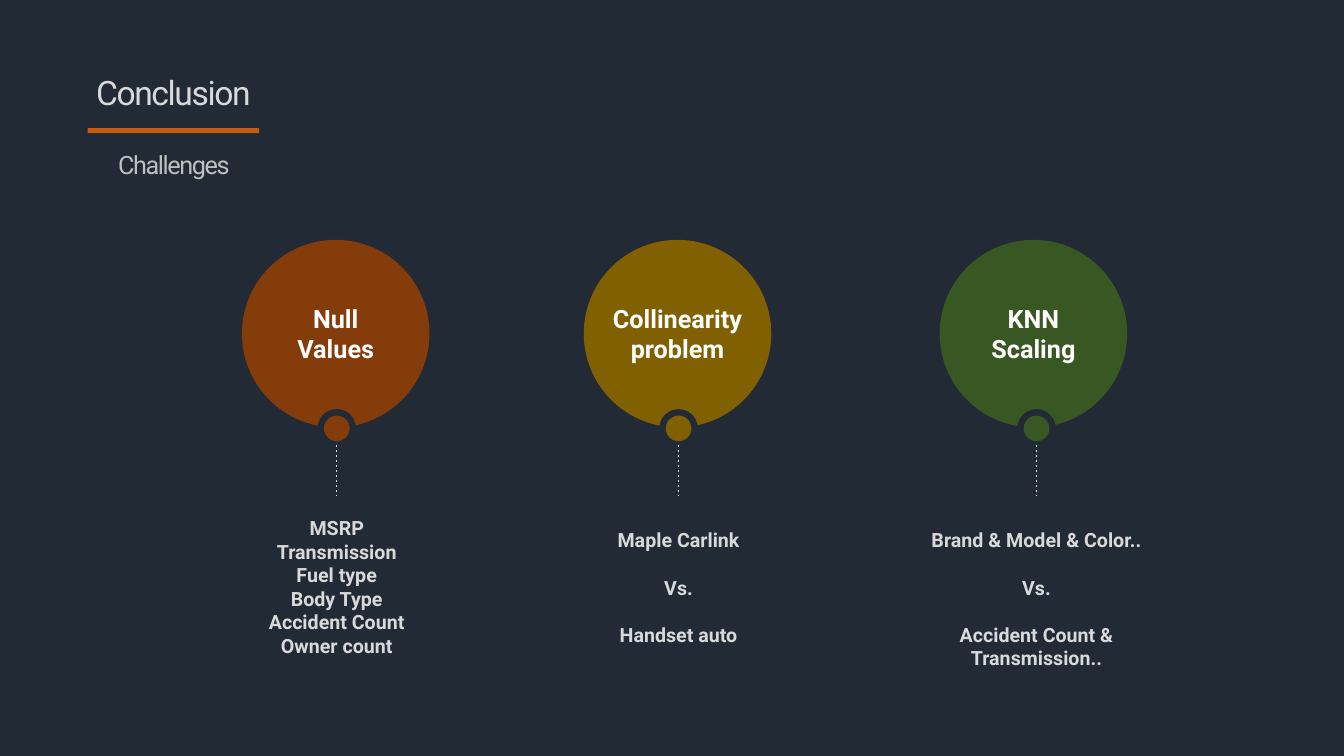
from lxml.etree import SubElement
from pptx import Presentation
from pptx.dml.color import RGBColor
from pptx.enum.dml import MSO_LINE
from pptx.enum.shapes import MSO_CONNECTOR, MSO_SHAPE
from pptx.enum.text import MSO_ANCHOR, PP_ALIGN
from pptx.oxml.ns import qn
from pptx.util import Pt

EMU_PER_PX = 9144
BACKGROUND = "222A35"
LIGHT = "D9D9D9"
GAP = 17

HEADING = {"size": 24, "color": LIGHT}
SUBHEADING = {"size": 18, "color": "BFBFBF"}
LABEL = {"size": 18, "color": "FFFFFF", "bold": True}
DETAIL = {"size": 14, "color": LIGHT, "bold": True}

CHALLENGES = [
    {"left": 240, "axis": 334, "color": "843C0B",
     "label": ["Null", "Values"],
     "detail": ["MSRP", "Transmission", "Fuel type", "Body Type",
                "Accident Count", "Owner count"],
     "top": 507, "width": 212, "height": 151, "gap": 0},
    {"left": 579, "axis": 673, "color": "806000",
     "label": ["Collinearity", "problem"],
     "detail": ["Maple Carlink", "Vs.", "Handset auto"],
     "top": 519, "width": 212, "height": 128, "gap": GAP},
    {"left": 932, "axis": 1028, "color": "385723",
     "label": ["KNN", "Scaling"],
     "detail": ["Brand & Model & Color..", "Vs.",
                "Accident Count & Transmission.."],
     "top": 519, "width": 275, "height": 151, "gap": GAP},
]


def px(*lengths):
    return [round(length * EMU_PER_PX) for length in lengths]


def rgb(value):
    return RGBColor.from_string(value)


def add_figure(page, kind, area, color, outline=None):
    figure = page.shapes.add_shape(kind, *px(*area))
    figure.shadow.inherit = False
    figure.fill.solid()
    figure.fill.fore_color.rgb = rgb(color)
    if outline:
        figure.line.color.rgb = rgb(outline)
        figure.line.width = Pt(4.5)
    else:
        figure.line.fill.background()


def add_text(page, area, lines, style, gap=0):
    box = page.shapes.add_textbox(*px(*area))
    box.text_frame.word_wrap = True
    for index, line in enumerate(lines):
        para = box.text_frame.paragraphs[0] if index == 0 else box.text_frame.add_paragraph()
        para.alignment = PP_ALIGN.CENTER
        if index and gap:
            para.space_before = Pt(gap)
        span = para.add_run()
        span.text = line
        font_values = {"name": "Roboto", "size": Pt(style["size"]),
                       "bold": style.get("bold", False)}
        for name, value in font_values.items():
            setattr(span.font, name, value)
        span.font.color.rgb = rgb(style["color"])
    return box


def add_heading(page, area, text, style):
    frame = add_text(page, area, [text], style).text_frame
    frame.vertical_anchor = MSO_ANCHOR.MIDDLE
    para = frame.paragraphs[0]
    para.line_spacing = 0.9
    para.runs[0]._r.get_or_add_rPr().set("spc", "-100")


def add_dashed_line(page, axis, top, bottom):
    line = page.shapes.add_connector(MSO_CONNECTOR.STRAIGHT, *px(axis, top, axis, bottom))
    line.line.color.rgb = rgb(LIGHT)
    line.line.width = Pt(0.5)
    line.line.dash_style = MSO_LINE.DASH
    SubElement(line._element.spPr, qn("a:effectLst"))


def add_challenge(page, challenge):
    left, axis, color = (challenge[key] for key in ("left", "axis", "color"))
    width = challenge["width"]
    add_figure(page, MSO_SHAPE.OVAL, (left, 238, 186, 186), color)
    add_text(page, (left, 296, 186, 71), challenge["label"], LABEL)
    add_figure(page, MSO_SHAPE.OVAL, (axis - 16, 409, 32, 32), color, BACKGROUND)
    add_dashed_line(page, axis, 441, 491)
    area = (axis - width / 2, challenge["top"], width, challenge["height"])
    add_text(page, area, challenge["detail"], DETAIL, challenge["gap"])


def main():
    deck = Presentation()
    deck.slide_width, deck.slide_height = px(1333, 750)
    page = deck.slides.add_slide(deck.slide_layouts[6])
    page.background.fill.solid()
    page.background.fill.fore_color.rgb = rgb(BACKGROUND)
    add_heading(page, (80, 67, 184, 54), "Conclusion", HEADING)
    add_figure(page, MSO_SHAPE.RECTANGLE, (87, 127, 170, 5), "C55A11")
    add_heading(page, (36, 138, 273, 54), "Challenges", SUBHEADING)
    for challenge in CHALLENGES:
        add_challenge(page, challenge)
    deck.save("out.pptx")


if __name__ == "__main__":
    main()
